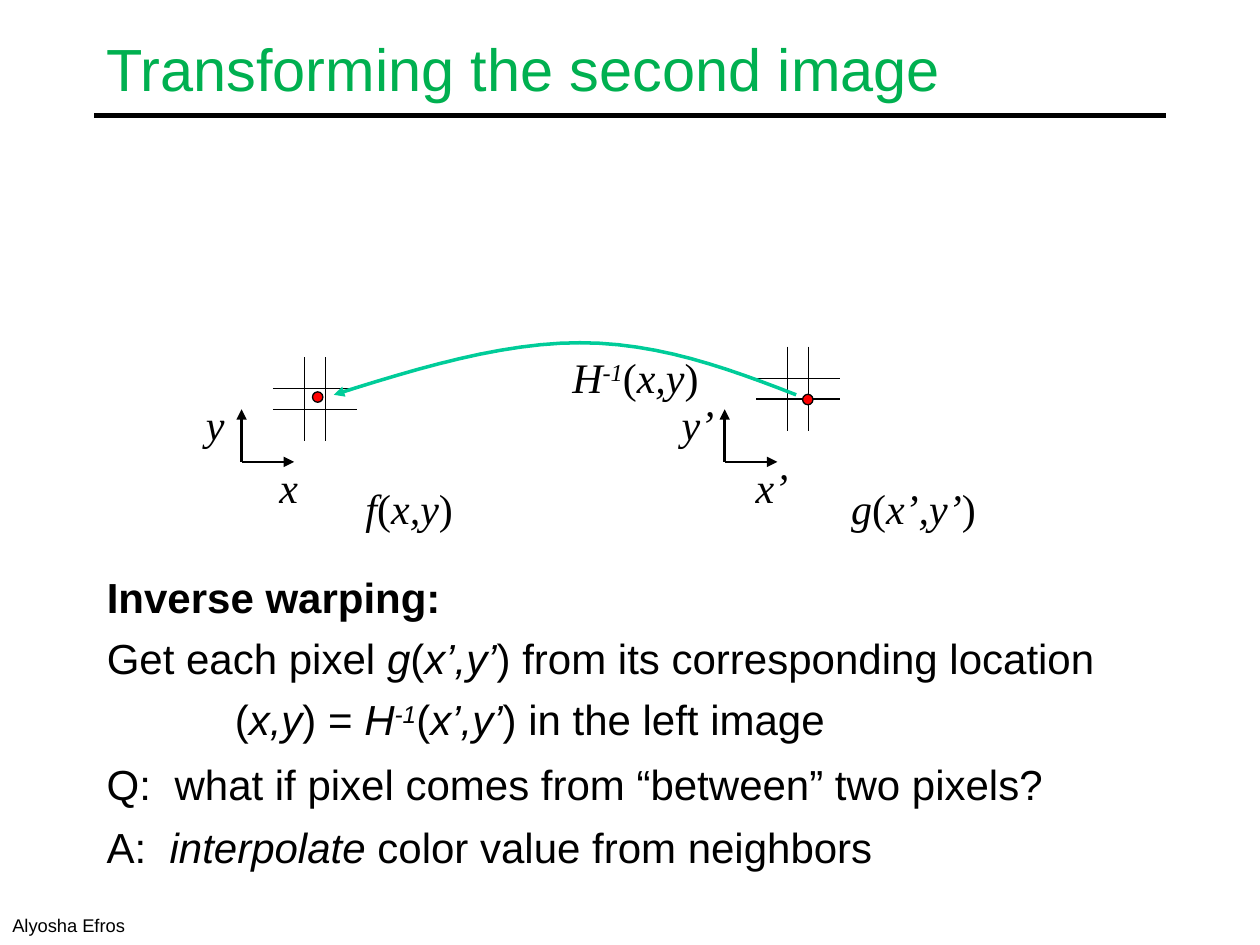
from lxml.etree import SubElement
from pptx import Presentation
from pptx.dml.color import RGBColor
from pptx.enum.shapes import MSO_CONNECTOR, MSO_SHAPE
from pptx.enum.text import MSO_ANCHOR, MSO_AUTO_SIZE, PP_ALIGN
from pptx.oxml.ns import qn
from pptx.util import Cm, Pt

BLACK = RGBColor(0, 0, 0)
GREEN = RGBColor(0x00, 0xB0, 0x50)
TEAL = RGBColor(0x00, 0xCC, 0x99)
RED = RGBColor(0xFF, 0, 0)
MATH = {"name": "Times New Roman", "size": Pt(24)}
BODY = {"name": "Arial", "size": Pt(24)}
HEAD = {"name": "Arial", "size": Pt(34)}
NOTE = {"name": "Arial", "size": Pt(10.5)}


def place(shape, left, top, width, height):
    """Put a shape at a spot given in centimetres."""
    spot = {"left": left, "top": top, "width": width, "height": height}
    for key, value in spot.items():
        setattr(shape, key, Cm(value))


def write(para, runs, form, color=BLACK):
    """Fill a paragraph with (text, style) runs; i, b and s are styles."""
    for text, style in runs:
        run = para.add_run()
        run.text = text
        look = {**form, "italic": "i" in style, "bold": "b" in style}
        for key, value in look.items():
            setattr(run.font, key, value)
        run.font.color.rgb = color
        if "s" in style:
            run._r.get_or_add_rPr().set("baseline", "30000")


def hang(para, left, first):
    """Indent a paragraph that has no bullet."""
    props = para._p.get_or_add_pPr()
    props.set("marL", str(Cm(left)))
    props.set("indent", str(Cm(first)))
    SubElement(props, qn("a:buNone"))


def label(slide, box, runs, form=MATH, align=PP_ALIGN.CENTER):
    """Add a text box of one paragraph and return the paragraph."""
    frame = slide.shapes.add_textbox(*map(Cm, box)).text_frame
    frame.word_wrap = True
    para = frame.paragraphs[0]
    para.alignment = align
    write(para, runs, form)
    return para


def ink(shape, color, width, end=None):
    """Set the line of a shape, with an arrowhead at the named end."""
    shape.line.color.rgb = color
    shape.line.width = Pt(width)
    if end:
        SubElement(shape.line._get_or_add_ln(), qn(f"a:{end}"), type="triangle")


def line(slide, x1, y1, x2, y2, width, end=None):
    """Draw a straight black line."""
    link = slide.shapes.add_connector(
        MSO_CONNECTOR.STRAIGHT, Cm(x1), Cm(y1), Cm(x2), Cm(y2))
    ink(link, BLACK, width, end)
    SubElement(link._element.spPr, qn("a:effectLst"))


def grid(slide, left, top, size=1.69, step=0.42):
    """Draw two upright and two level pixel borders."""
    for gap in ((size - step) / 2, (size + step) / 2):
        line(slide, left + gap, top, left + gap, top + size, 0.75)
        line(slide, left, top + gap, left + size, top + gap, 0.75)


def axes(slide, left, base, size=1.06):
    """Draw a pair of axis arrows from one corner."""
    line(slide, left, base, left, base - size, 1.5, "tailEnd")
    line(slide, left, base, left + size, base, 1.5, "tailEnd")


def dot(slide, left, top, size=0.21):
    """Draw a red sample point."""
    mark = slide.shapes.add_shape(
        MSO_SHAPE.OVAL, Cm(left), Cm(top), Cm(size), Cm(size))
    mark.shadow.inherit = False
    mark.fill.solid()
    mark.fill.fore_color.rgb = RED
    ink(mark, BLACK, 0.75)


def bend(points, steps=12):
    """Give points along a cubic curve, without its start."""
    for num in range(1, steps + 1):
        t = num / steps
        parts = ((1 - t) ** 3, 3 * t * (1 - t) ** 2, 3 * t * t * (1 - t), t ** 3)
        yield tuple(Cm(sum(p * v for p, v in zip(parts, axis)))
                    for axis in zip(*points))


def curve(slide):
    """Draw the curved arrow from the right image to the left one."""
    start, peak, end = (6.73, 7.96), (11.69, 6.91), (16.05, 7.96)
    rise = (start, (8.43, 7.42), (10.13, 6.91), peak)
    fall = (peak, (13.26, 6.91), (14.66, 7.42), end)
    pen = slide.shapes.build_freeform(Cm(start[0]), Cm(start[1]))
    pen.add_line_segments([*bend(rise), *bend(fall)], close=False)
    shape = pen.convert_to_shape()
    shape.shadow.inherit = False
    shape.fill.background()
    ink(shape, TEAL, 2, "headEnd")


def title(slide):
    """Fill the title and draw the rule below it."""
    head = slide.shapes.title
    place(head, 1.9, 0.2, 21.59, 2.34)
    frame = head.text_frame
    frame.auto_size = MSO_AUTO_SIZE.NONE
    frame.vertical_anchor = MSO_ANCHOR.MIDDLE
    frame.paragraphs[0].alignment = PP_ALIGN.LEFT
    write(frame.paragraphs[0], [("Transforming the second image", "")], HEAD, GREEN)
    line(slide, 1.9, 2.33, 23.5, 2.33, 3)


def body(slide):
    """Fill the body with the rule of inverse warping."""
    rows = [
        (0.97, -0.97, [("Inverse warping:", "b")]),
        (0.97, -0.97, [("Get each pixel ", ""), ("g", "i"), ("(", ""),
                       ("x’,y’", "i"), (") from its corresponding location", "")]),
        (2.58, 0, [("(", ""), ("x,y", "i"), (") = ", ""), ("H", "i"), ("-1", "is"),
                   ("(", ""), ("x’,y’", "i"), (") in the left image", "")]),
    ]
    text = slide.placeholders[1]
    place(text, 1.9, 11.4, 21.59, 3.91)
    frame = text.text_frame
    frame.auto_size = MSO_AUTO_SIZE.NONE
    for num, (left, first, runs) in enumerate(rows):
        para = frame.add_paragraph() if num else frame.paragraphs[0]
        hang(para, left, first)
        para.space_before = Pt(6 if num else 0)
        write(para, runs, BODY)


def main():
    """Build the slide and save it."""
    deck = Presentation()
    deck.slide_width, deck.slide_height = Cm(25.4), Cm(19.05)
    slide = deck.slides.add_slide(deck.slide_layouts[1])
    title(slide)
    for left, top in ((5.5, 7.2), (15.24, 6.99)):
        grid(slide, left, top)
    for left in (4.87, 14.61):
        axes(slide, left, 9.31)
    curve(slide)
    for left, top in ((6.3, 7.9), (16.18, 7.95)):
        dot(slide, left, top)
    signs = [
        (3.39, 7.9, 1.9, [("y", "i")]),
        (13.12, 7.9, 1.9, [("y’", "i")]),
        (4.87, 9.17, 1.9, [("x", "i")]),
        (14.61, 9.17, 1.9, [("x’", "i")]),
        (6.77, 9.6, 2.96, [("f", "i"), ("(", ""), ("x,y", "i"), (")", "")]),
        (16.51, 9.6, 3.81, [("g", "i"), ("(", ""), ("x’,y’", "i"), (")", "")]),
        (11.22, 6.97, 3.18, [("H", "i"), ("-1", "is"), ("(", ""),
                             ("x,y", "i"), (")", "")]),
    ]
    for left, top, width, runs in signs:
        label(slide, (left, top, width, 1.27), runs)
    body(slide)
    lines = [
        (15.16, 1.37, [("Q:\twhat if pixel comes from “between” two pixels?", "")]),
        (16.43, 1.27, [("A:\t", ""), ("interpolate", "i"),
                       (" color value from neighbors", "")]),
    ]
    for top, left, runs in lines:
        para = label(slide, (1.9, top, 22.2, 1.27), runs, BODY, PP_ALIGN.LEFT)
        hang(para, left, -left)
    label(slide, (0, 18.31, 6.81, 0.74), [("Alyosha Efros", "")], NOTE, PP_ALIGN.LEFT)
    deck.save("out.pptx")


if __name__ == "__main__":
    main()
